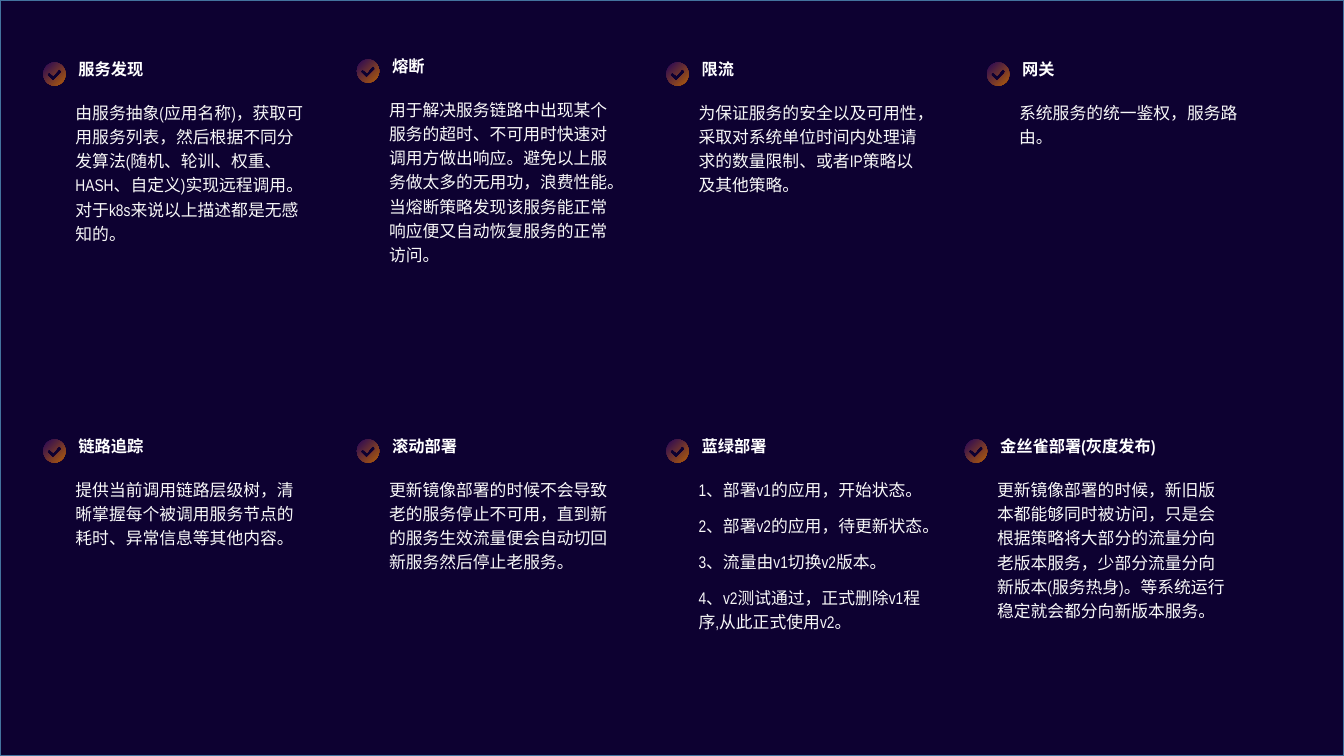
import math

import pptx
import pptx.dml.color
import pptx.enum.shapes
import pptx.enum.text
import pptx.util

Inches = pptx.util.Inches
Pt = pptx.util.Pt
RGBColor = pptx.dml.color.RGBColor

# badge left, badge top, heading, heading width, body height, body paragraphs
TOPICS = [
    (0.43, 0.62, "服务发现", 0.93, 1.55,
     ["由服务抽象(应用名称)，获取可用服务列表，然后根据不同分发算法(随机、轮训、权重、HASH、自定义)"
      "实现远程调用。对于k8s来说以上描述都是无感知的。"]),
    (3.54, 0.59, "熔断", 0.56, 1.79,
     ["用于解决服务链路中出现某个服务的超时、不可用时快速对调用方做出响应。避免以上服务做太多的无用功，"
      "浪费性能。当熔断策略发现该服务能正常响应便又自动恢复服务的正常访问。"]),
    (6.61, 0.62, "限流", 0.56, 1.07,
     ["为保证服务的安全以及可用性，采取对系统单位时间内处理请求的数量限制、或者IP策略以及其他策略。"]),
    (9.79, 0.62, "网关", 0.56, 0.58,
     ["系统服务的统一鉴权，服务路由。"]),
    (0.43, 4.36, "链路追踪", 0.93, 0.83,
     ["提供当前调用链路层级树，清晰掌握每个被调用服务节点的耗时、异常信息等其他内容。"]),
    (3.54, 4.36, "滚动部署", 0.93, 1.07,
     ["更新镜像部署的时候不会导致老的服务停止不可用，直到新的服务生效流量便会自动切回新服务然后停止老服务。"]),
    (6.61, 4.36, "蓝绿部署", 0.93, 1.67,
     ["1、部署v1的应用，开始状态。",
      "2、部署v2的应用，待更新状态。",
      "3、流量由v1切换v2版本。",
      "4、v2测试通过，正式删除v1程序,从此正式使用v2。"]),
    (9.57, 4.36, "金丝雀部署(灰度发布)", 1.97, 1.55,
     ["更新镜像部署的时候，新旧版本都能够同时被访问，只是会根据策略将大部分的流量分向老版本服务，"
      "少部分流量分向新版本(服务热身)。等系统运行稳定就会都分向新版本服务。"]),
]

NAVY = RGBColor(0x0D, 0x01, 0x31)
EDGE_BLUE = RGBColor(0x43, 0x73, 0x9E)
PURPLE = RGBColor(0x26, 0x06, 0x59)
ORANGE = RGBColor(0xB1, 0x5D, 0x0A)
WHITE = RGBColor(0xFF, 0xFF, 0xFF)
SOFT_WHITE = RGBColor(0xF8, 0xF8, 0xF8)

FONT = "Arial Narrow"
HEADING_FONT = {"name": FONT, "size": Pt(20), "bold": True}
BODY_FONT = {"name": FONT, "size": Pt(12)}
HEADING_FRAME = {"word_wrap": False,
                 "vertical_anchor": pptx.enum.text.MSO_ANCHOR.MIDDLE}
BODY_FRAME = {"word_wrap": True}
BODY_SPACING = {"line_spacing": 1.2}

BADGE_WIDTH, BADGE_HEIGHT = 0.22, 0.23
CIRCLE_STEPS = 48
TICK = [(0.18, 0.09), (0.17, 0.07), (0.15, 0.07), (0.1, 0.13), (0.06, 0.1),
        (0.04, 0.11), (0.04, 0.13), (0.09, 0.18), (0.1, 0.18), (0.18, 0.1)]


def apply(target, values):
    for name, value in values.items():
        setattr(target, name, value)


def add_background(slide, width, height):
    panel = slide.shapes.add_shape(
        pptx.enum.shapes.MSO_SHAPE.RECTANGLE, 0, 0, width, height)
    panel.shadow.inherit = False
    panel.fill.solid()
    panel.fill.fore_color.rgb = NAVY
    panel.line.color.rgb = EDGE_BLUE
    panel.line.width = Pt(1)


def add_badge(slide, left, top):
    """Draw a gradient disc with a tick cut out of it."""
    radius_x, radius_y = BADGE_WIDTH / 2, BADGE_HEIGHT / 2
    angles = [2 * math.pi * step / CIRCLE_STEPS for step in range(CIRCLE_STEPS)]
    circle = [(radius_x * (1 + math.cos(angle)), radius_y * (1 + math.sin(angle)))
              for angle in angles]
    disc, tick = ([(Inches(x), Inches(y)) for x, y in outline]
                  for outline in (circle, TICK))
    builder = slide.shapes.build_freeform(*disc[0])
    builder.add_line_segments(disc[1:], close=True)
    builder.move_to(*tick[0])
    builder.add_line_segments(tick[1:], close=True)
    badge = builder.convert_to_shape(Inches(left), Inches(top))
    badge.shadow.inherit = False
    badge.line.fill.background()
    badge.fill.gradient()
    badge.fill.gradient_angle = 315
    for stop, position, color in zip(badge.fill.gradient_stops, (0, 1), (PURPLE, ORANGE)):
        stop.position = position
        stop.color.rgb = color


def add_text(slide, place, lines, frame_format, font_format, color, spacing):
    """Add a text box and return its text runs."""
    box = slide.shapes.add_textbox(*(Inches(value) for value in place))
    frame = box.text_frame
    frame.auto_size = pptx.enum.text.MSO_AUTO_SIZE.SHAPE_TO_FIT_TEXT
    apply(frame, frame_format)
    spans = []
    for index, line in enumerate(lines):
        para = frame.add_paragraph() if index else frame.paragraphs[0]
        apply(para, spacing)
        if index:
            para.space_before = Pt(8.5)
        span = para.add_run()
        span.text = line
        apply(span.font, font_format)
        span.font.color.rgb = color
        spans.append(span)
    return spans


def add_topic(slide, left, top, heading, heading_width, body_height, body):
    add_badge(slide, left, top)
    add_text(slide, (left + 0.22, top + 0.31, 2.49, body_height), body,
             BODY_FRAME, BODY_FONT, SOFT_WHITE, BODY_SPACING)
    spans = add_text(slide, (left + 0.25, top - 0.06, heading_width, 0.32), [heading],
                     HEADING_FRAME, HEADING_FONT, WHITE, {})
    for span in spans:
        span._r.get_or_add_rPr().set("baseline", "30000")


def main():
    deck = pptx.Presentation()
    deck.slide_width, deck.slide_height = Inches(13.33), Inches(7.5)
    slide = deck.slides.add_slide(deck.slide_layouts[6])
    add_background(slide, deck.slide_width, deck.slide_height)
    for topic in TOPICS:
        add_topic(slide, *topic)
    deck.save("out.pptx")


if __name__ == "__main__":
    main()
